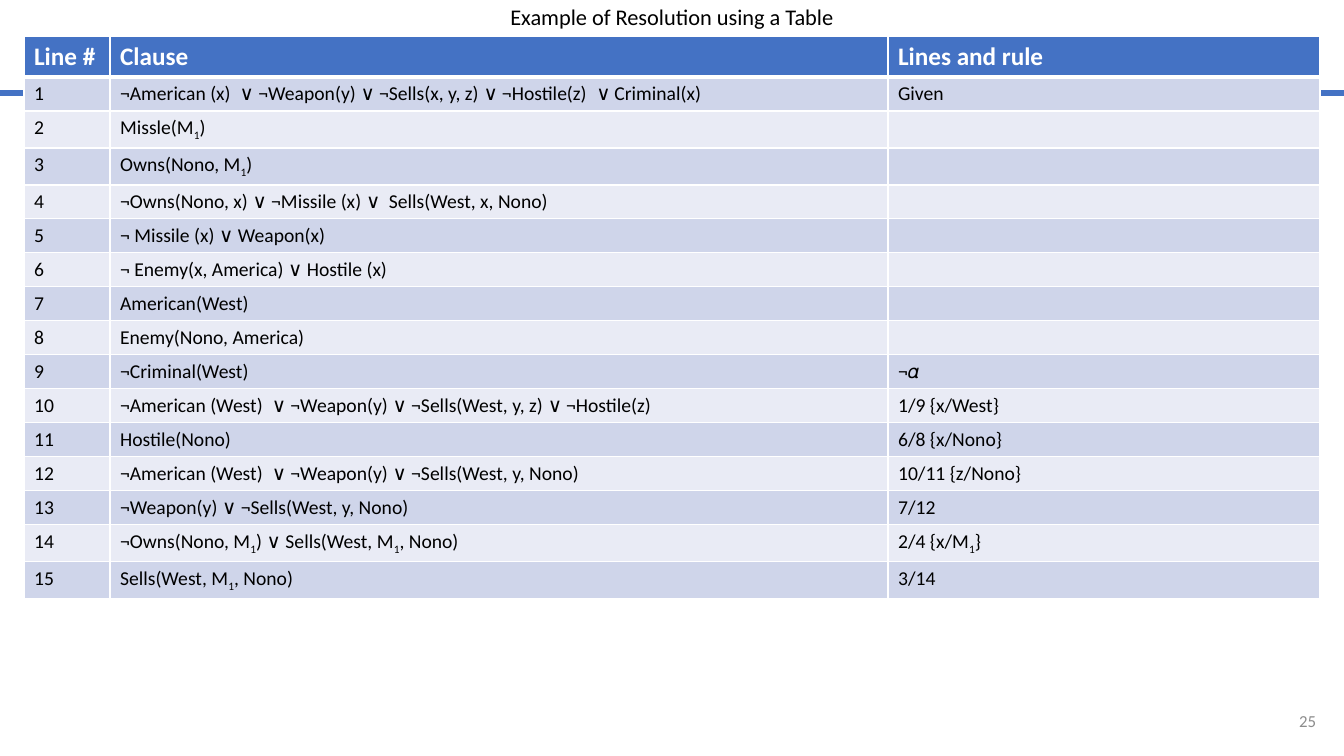
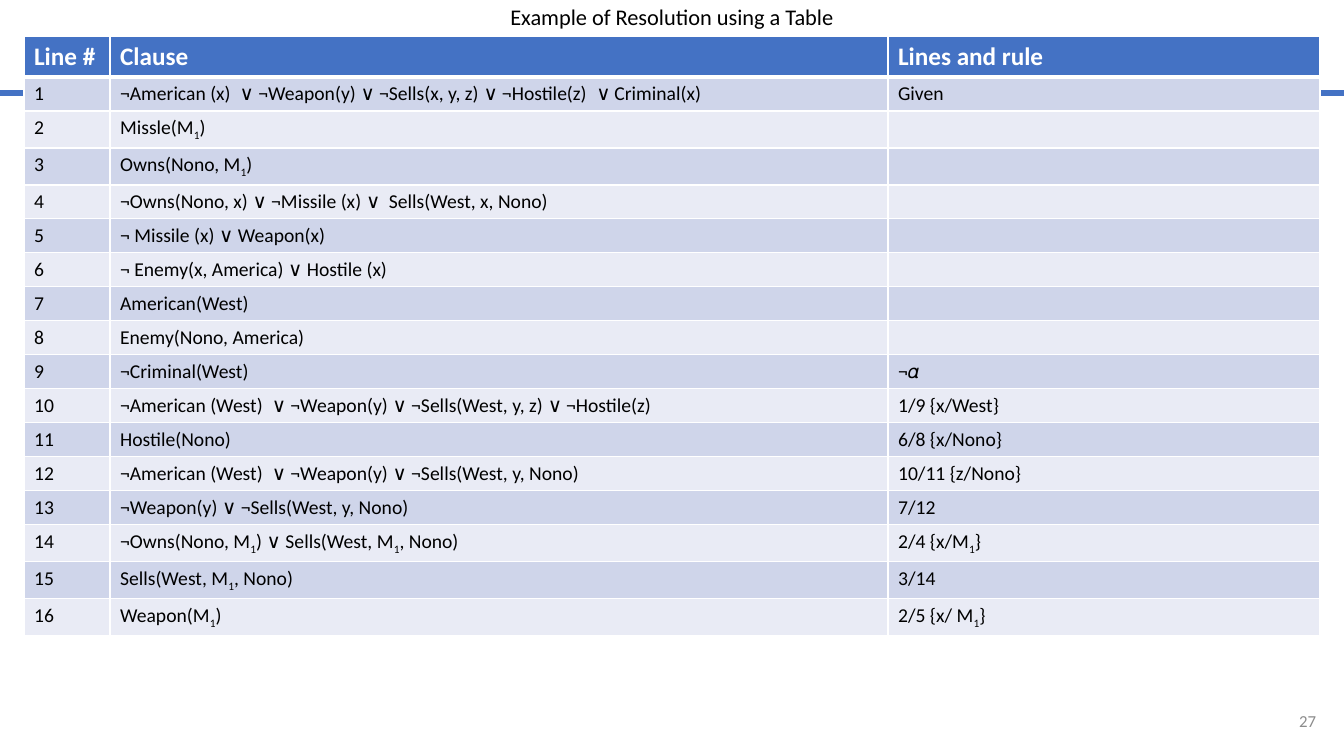
from lxml.etree import SubElement
from pptx import Presentation
from pptx.dml.color import RGBColor
from pptx.enum.shapes import MSO_CONNECTOR as CONNECTOR
from pptx.enum.text import MSO_ANCHOR as ANCHOR, PP_ALIGN as ALIGN
from pptx.oxml.ns import qn
from pptx.util import Pt

TITLE = "Example of Resolution using a Table"
HEADINGS = ("Line #", "Clause", "Lines and rule")
# An underscore makes the next character a subscript.
STEPS = [
    ("¬American (x)  ∨ ¬Weapon(y) ∨ ¬Sells(x, y, z) ∨ ¬Hostile(z)  ∨ Criminal(x)", "Given"),
    ("Missle(M_1)", ""),
    ("Owns(Nono, M_1)", ""),
    ("¬Owns(Nono, x) ∨ ¬Missile (x) ∨  Sells(West, x, Nono)", ""),
    ("¬ Missile (x) ∨ Weapon(x)", ""),
    ("¬ Enemy(x, America) ∨ Hostile (x)", ""),
    ("American(West)", ""),
    ("Enemy(Nono, America)", ""),
    ("¬Criminal(West)", "¬𝛼"),
    ("¬American (West)  ∨ ¬Weapon(y) ∨ ¬Sells(West, y, z) ∨ ¬Hostile(z)", "1/9 {x/West}"),
    ("Hostile(Nono)", "6/8 {x/Nono}"),
    ("¬American (West)  ∨ ¬Weapon(y) ∨ ¬Sells(West, y, Nono)", "10/11 {z/Nono}"),
    ("¬Weapon(y) ∨ ¬Sells(West, y, Nono)", "7/12"),
    ("¬Owns(Nono, M_1) ∨ Sells(West, M_1, Nono)", "2/4 {x/M_1}"),
    ("Sells(West, M_1, Nono)", "3/14"),
    ("Weapon(M_1)", "2/5 {x/ M_1}"),
]
SLIDES = [("25", 15), ("27", 16)]  # slide number, steps shown

FONT = "Calibri"
BLUE, WHITE, BLACK, GREY = "4472C4", "FFFFFF", "000000", "8C8C8C"
BANDS = ("CFD5EA", "E9EBF5")
SLIDE_WIDTH, SLIDE_HEIGHT = 1344, 756
TABLE_LEFT, TABLE_TOP = 24, 36
COLUMN_WIDTHS = (86, 778, 432)
HEADER_HEIGHT, ROW_HEIGHT, SUBSCRIPT_ROW_HEIGHT = 41, 34, 37


def px(length):
    return round(length * 914400 / 100.8)


def rgb(color):
    return RGBColor.from_string(color)


def style(paragraph, size, color, align=ALIGN.LEFT, bold=False):
    paragraph.alignment = align
    font = paragraph.font
    font.name, font.size, font.bold = FONT, Pt(size), bold
    font.color.rgb = rgb(color)


def write(paragraph, text):
    """Add the text as runs, lowering each character after an underscore."""
    first, *rest = text.split("_")
    pieces = [(first, False)]
    for part in rest:
        pieces += [(part[0], True), (part[1:], False)]
    for piece, lowered in pieces:
        if piece:
            run = paragraph.add_run()
            run.text = piece
            if lowered:
                run.font._element.set("baseline", "-25000")


def add_borders(cell, bottom):
    properties = cell._tc.get_or_add_tcPr()
    for side, width in (("lnL", 1), ("lnR", 1), ("lnT", 1), ("lnB", bottom)):
        line = SubElement(properties, qn(f"a:{side}"), w=str(Pt(width)))
        fill = SubElement(line, qn("a:solidFill"))
        SubElement(fill, qn("a:srgbClr"), val=WHITE)


def fill_cell(cell, text, size, color, background, bold=False, bottom=1):
    add_borders(cell, bottom)
    cell.fill.solid()
    cell.fill.fore_color.rgb = rgb(background)
    paragraph = cell.text_frame.paragraphs[0]
    style(paragraph, size, color, bold=bold)
    write(paragraph, text)
    if not text:
        SubElement(paragraph._p, qn("a:endParaRPr"), sz=str(size * 100))


def add_frame(slide, number):
    """Add the title, the rule below it and the slide number."""
    title = slide.shapes.title
    title.left, title.top, title.width, title.height = px(0), px(-2), px(SLIDE_WIDTH), px(41)
    title.text_frame.text = TITLE
    title.text_frame.vertical_anchor = ANCHOR.MIDDLE
    paragraph = title.text_frame.paragraphs[0]
    paragraph.line_spacing = 0.9
    style(paragraph, 16, BLACK, ALIGN.CENTER)

    rule = slide.shapes.add_connector(CONNECTOR.STRAIGHT, px(0), px(93), px(SLIDE_WIDTH), px(93))
    rule.line.color.rgb = rgb(BLUE)
    rule.line.width = Pt(3.75)
    SubElement(rule._element.spPr, qn("a:effectLst"))

    box = slide.shapes.add_textbox(px(1257), px(701), px(69), px(40))
    box.text_frame.word_wrap = True
    box.text_frame.vertical_anchor = ANCHOR.MIDDLE
    box.text_frame.text = number
    style(box.text_frame.paragraphs[0], 12, GREY, ALIGN.RIGHT)


def add_proof(slide, steps):
    heights = [HEADER_HEIGHT] + [
        SUBSCRIPT_ROW_HEIGHT if "_" in clause else ROW_HEIGHT for clause, _ in steps
    ]
    table = slide.shapes.add_table(
        len(heights), len(HEADINGS), px(TABLE_LEFT), px(TABLE_TOP),
        px(sum(COLUMN_WIDTHS)), px(sum(heights)),
    ).table
    for column, width in zip(table.columns, COLUMN_WIDTHS):
        column.width = px(width)
    for row, height in zip(table.rows, heights):
        row.height = px(height)
    for cell, heading in zip(table.rows[0].cells, HEADINGS):
        fill_cell(cell, heading, 18, WHITE, BLUE, bold=True, bottom=3)
    for index, step in enumerate(steps):
        for cell, text in zip(table.rows[index + 1].cells, (str(index + 1), *step)):
            fill_cell(cell, text, 14, BLACK, BANDS[index % 2])


def main():
    presentation = Presentation()
    presentation.slide_width = px(SLIDE_WIDTH)
    presentation.slide_height = px(SLIDE_HEIGHT)
    for number, step_count in SLIDES:
        slide = presentation.slides.add_slide(presentation.slide_layouts[5])
        add_frame(slide, number)
        add_proof(slide, STEPS[:step_count])
    presentation.save("out.pptx")


if __name__ == "__main__":
    main()
